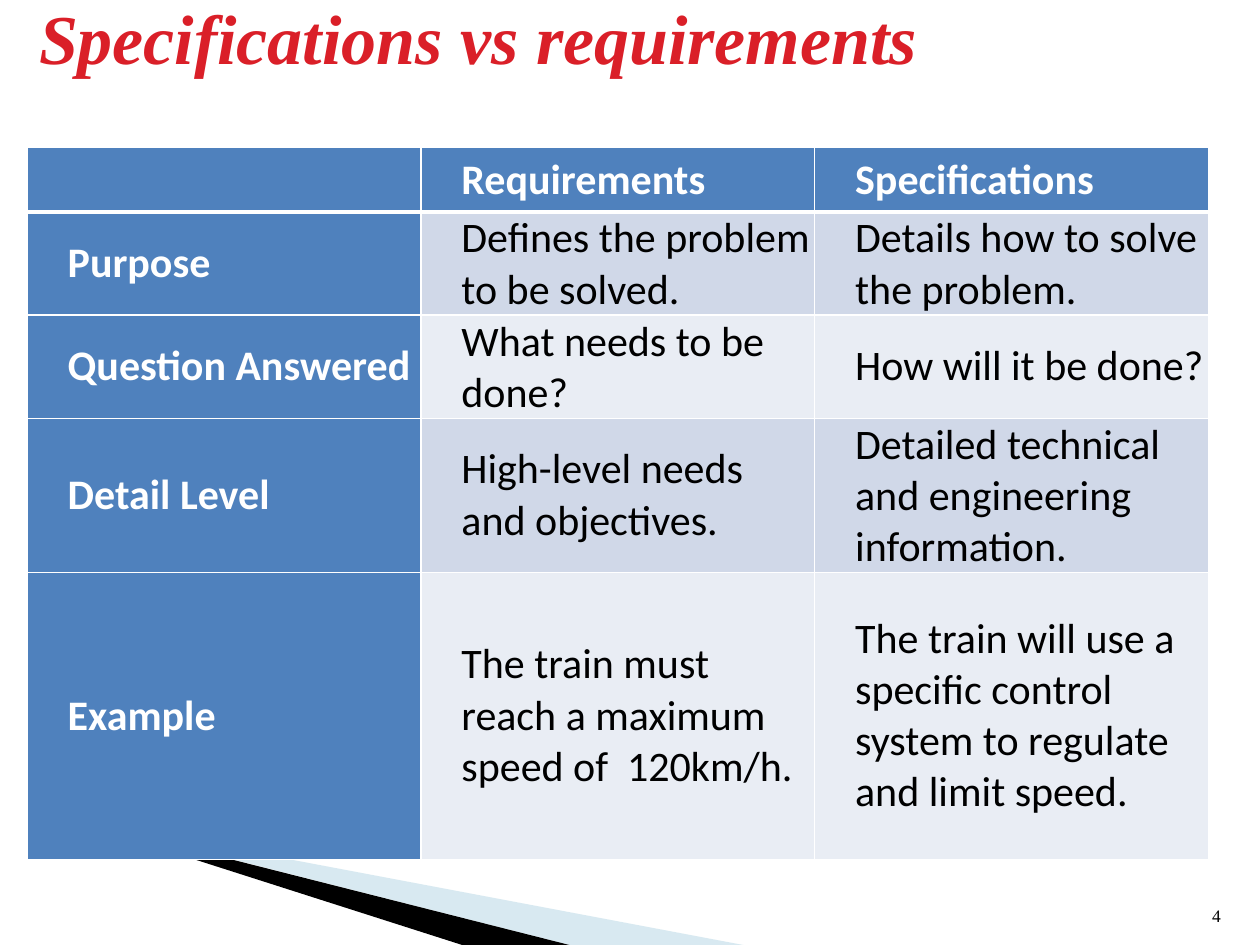
from lxml import etree
from pptx import Presentation
from pptx import util as u
from pptx.dml.color import RGBColor
from pptx.enum import text
from pptx.oxml import ns

Pt = u.Pt

WHITE = RGBColor(0xFF, 0xFF, 0xFF)
BLACK = RGBColor(0x00, 0x00, 0x00)
RED = RGBColor(0xDA, 0x1F, 0x28)
PALE_BLUE = RGBColor(0x9F, 0xCA, 0xDC)
HEADER_BLUE = RGBColor(0x4F, 0x81, 0xBD)
BANDS = [RGBColor(0xD0, 0xD8, 0xE8), RGBColor(0xE9, 0xED, 0xF4)]

ROWS = [
    ["", "Requirements", "Specifications"],
    ["Purpose", "Defines the problem to be solved.",
     "Details how to solve the problem."],
    ["Question Answered", "What needs to be done?", "How will it be done?"],
    ["Detail Level", "High-level needs and objectives.",
     "Detailed technical and engineering information."],
    ["Example", "The train must reach a maximum speed of  120km/h.",
     "The train will use a specific control system to regulate and limit speed."],
]
ROW_HEIGHTS = [36.7, 59, 59, 88, 164]


def set_font(paragraph, name, size, color, bold=False, italic=False):
    for run in paragraph.runs:
        font = run.font
        font.name, font.size = name, Pt(size)
        font.bold, font.italic = bold, italic
        font.color.rgb = color


def set_insets(text_frame, top=0):
    text_frame.margin_left = text_frame.margin_right = 0
    text_frame.margin_top, text_frame.margin_bottom = Pt(top), 0
    text_frame.vertical_anchor = text.MSO_ANCHOR.TOP
    text_frame.word_wrap = True


def place(shape, box):
    shape.left, shape.top, shape.width, shape.height = map(Pt, box)


def add_wedge(slide, points, color, alpha=None):
    corners = [(Pt(x), Pt(y)) for x, y in points]
    builder = slide.shapes.build_freeform(*corners[0])
    builder.add_line_segments(corners[1:], close=True)
    shape = builder.convert_to_shape()
    shape.shadow.inherit = False
    shape.fill.solid()
    shape.fill.fore_color.rgb = color
    shape.line.fill.background()
    if alpha is not None:
        srgb = shape.fill._xPr.find(".//" + ns.qn("a:srgbClr"))
        etree.SubElement(srgb, ns.qn("a:alpha"), val=str(alpha * 1000))


def add_swoosh(slide, box):
    left, top, width, height = box
    right, bottom = left + width, top + height
    middle = left + 287.2  # where the two wedges meet on the bottom edge
    add_wedge(slide, [(left + 1.4, top), (middle, bottom), (right, bottom)],
              PALE_BLUE, alpha=40)
    add_wedge(slide, [(left, top), (left + 0.7, top + 0.7),
                      (left + 226, bottom), (middle, bottom)], BLACK)


def add_title(slide, box):
    title = slide.shapes.title
    place(title, box)
    title.text_frame.text = "Specifications vs requirements"
    set_insets(title.text_frame)
    title.text_frame.auto_size = text.MSO_AUTO_SIZE.NONE
    paragraph = title.text_frame.paragraphs[0]
    paragraph.alignment = text.PP_ALIGN.LEFT
    set_font(paragraph, "Times New Roman", 40, RED, bold=True, italic=True)


def add_page_number(slide, box):
    text_frame = slide.shapes.add_textbox(*map(Pt, box)).text_frame
    text_frame.text = "4"
    set_insets(text_frame, top=12.2)
    paragraph = text_frame.paragraphs[0]
    paragraph.line_spacing = Pt(11.9)
    paragraph._p.get_or_add_pPr().set("marL", str(Pt(13)))
    set_font(paragraph, "Times New Roman", 10, BLACK)


def set_borders(cell, top, bottom):
    properties = cell._tc.get_or_add_tcPr()
    for side, width in (("L", 1), ("R", 1), ("T", top), ("B", bottom)):
        line = etree.SubElement(properties, ns.qn("a:ln" + side), w=str(Pt(width)))
        fill = etree.SubElement(line, ns.qn("a:solidFill"))
        etree.SubElement(fill, ns.qn("a:srgbClr"), val=str(WHITE))


def format_cell(cell, wording, row, column):
    is_header = row == 0 or column == 0
    set_borders(cell, top=3 if row == 1 else 1, bottom=3 if row == 0 else 1)
    cell.fill.solid()
    cell.fill.fore_color.rgb = HEADER_BLUE if is_header else BANDS[(row - 1) % 2]
    cell.margin_left = cell.margin_right = Pt(0.7)
    cell.margin_top = cell.margin_bottom = Pt(0.7)
    cell.vertical_anchor = text.MSO_ANCHOR.MIDDLE
    cell.text_frame.text = wording
    paragraph = cell.text_frame.paragraphs[0]
    paragraph._p.get_or_add_pPr().set("marL", str(Pt(22.5)))
    set_font(paragraph, "Calibri", 24, WHITE if is_header else BLACK, bold=is_header)


def add_comparison(slide, box):
    table = slide.shapes.add_table(len(ROWS), len(ROWS[0]), *map(Pt, box)).table
    for column in table.columns:
        column.width = Pt(box[2] / len(ROWS[0]))
    for row, wordings in enumerate(ROWS):
        table.rows[row].height = Pt(ROW_HEIGHTS[row])
        for column, wording in enumerate(wordings):
            format_cell(table.cell(row, column), wording, row, column)


def main():
    presentation = Presentation()
    presentation.slide_width, presentation.slide_height = Pt(720), Pt(540)
    slide = presentation.slides.add_slide(presentation.slide_layouts[5])

    # Corner decoration, behind everything else
    add_swoosh(slide, (38.2, 467.3, 386.6, 72.7))
    # Heading and page number
    add_title(slide, (22.3, -2.9, 657.4, 48.2))
    add_page_number(slide, (679.7, 505.4, 27.4, 25.2))
    # Comparison table
    add_comparison(slide, (15.5, 84.4, 675, sum(ROW_HEIGHTS)))

    presentation.save("out.pptx")


if __name__ == "__main__":
    main()
